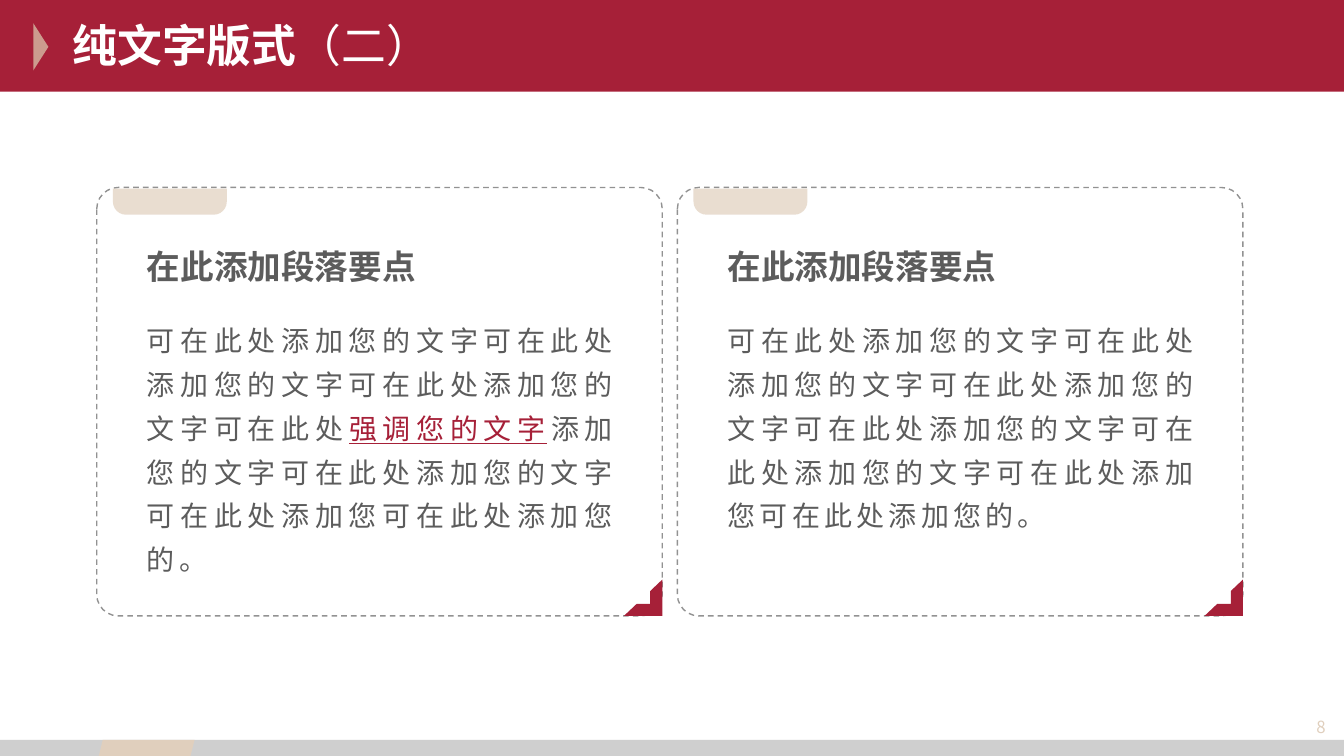
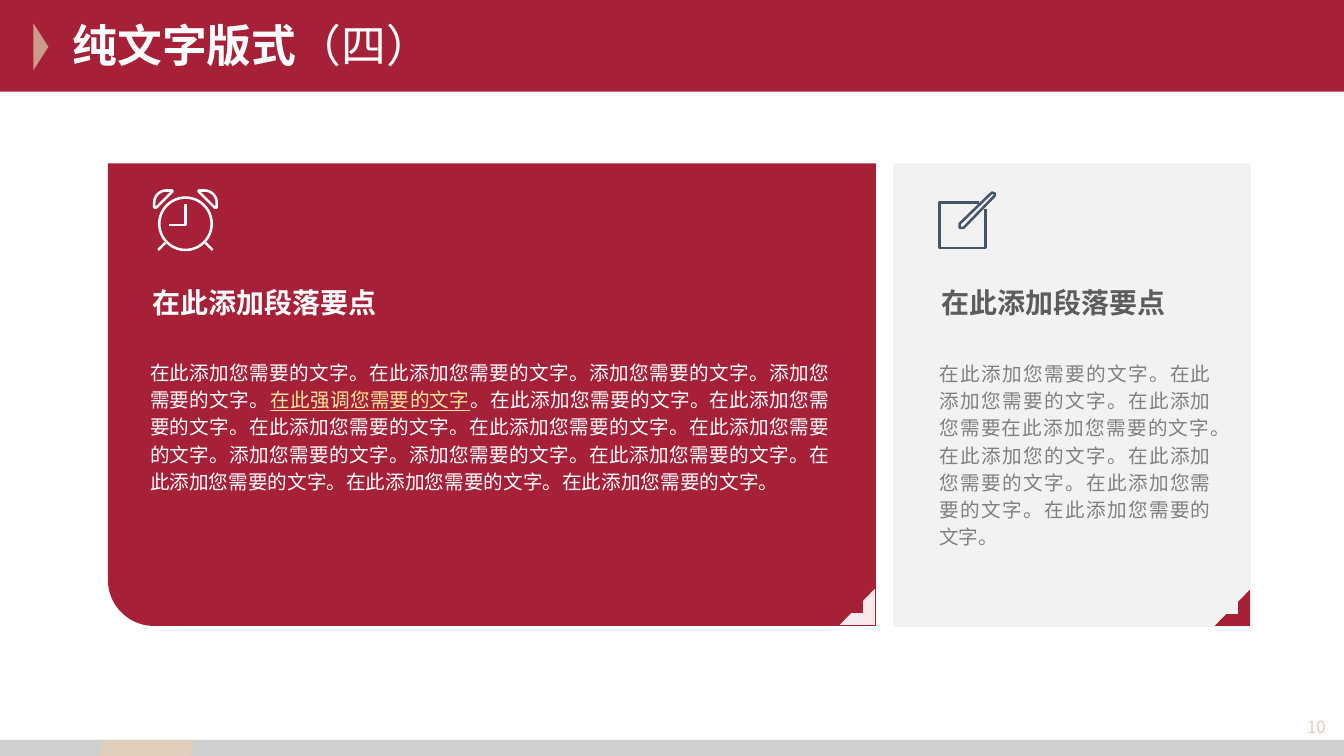
from math import cos, pi, sin

from lxml.etree import SubElement
from pptx import Presentation
from pptx.dml.color import RGBColor
from pptx.enum.dml import MSO_LINE
from pptx.enum.shapes import MSO_CONNECTOR, MSO_SHAPE
from pptx.enum.text import MSO_ANCHOR, PP_ALIGN
from pptx.oxml.ns import qn
from pptx.util import Pt

PX = 9144
FONT = "Noto Sans CJK SC"
COLORS = {
    "red": "A62038", "rose": "CC9B8E", "sand": "E0CFBD", "silver": "BFBFBF",
    "dash": "929292", "ink": "5C5C5C", "gray": "808080", "panel": "F2F2F2",
    "white": "FFFFFF", "yellow": "FFE699", "navy": "44546A",
}
HEADING = "在此添加段落要点"

DASHED_CARDS = [
    [("可在此处添加您的文字可在此处添加您的文字可在此处添加您的文字可在此处", None),
     ("强调您的文字", "red"),
     ("添加您的文字可在此处添加您的文字可在此处添加您可在此处添加您的。", None)],
    [("可在此处添加您的文字可在此处添加您的文字可在此处添加您的文字可在此处添加您的文字"
      "可在此处添加您的文字可在此处添加您可在此处添加您的。", None)],
]
FILLED_CARDS = [
    {"heading": (141, 282, 289, 35), "body": (139, 349, 694, 140),
     "corner": (833, 584, 35, 36), "corner_fill": ("white", 90),
     "heading_color": "white", "body_color": "white",
     "runs": [
         ("在此添加您需要的文字。在此添加您需要的文字。添加您需要的文字。添加您需要的文字。", None),
         ("在此强调您需要的文字", "yellow"),
         ("。在此添加您需要的文字。在此添加您需要的文字。在此添加您需要的文字。"
          "在此添加您需要的文字。在此添加您需要的文字。添加您需要的文字。添加您需要的文字。"
          "在此添加您需要的文字。在此添加您需要的文字。在此添加您需要的文字。"
          "在此添加您需要的文字。", None)]},
    {"heading": (924, 282, 289, 35), "body": (922, 350, 289, 200),
     "corner": (1205, 585, 35, 36), "corner_fill": ("red", 100),
     "heading_color": "ink", "body_color": "gray",
     "runs": [
         ("在此添加您需要的文字。在此添加您需要的文字。在此添加您需要在此添加您需要的文字。"
          "在此添加您的文字。在此添加您需要的文字。在此添加您需要的文字。"
          "在此添加您需要的文字。", None)]},
]


def emu(*lengths):
    return [round(length * PX) for length in lengths]


def rgb(name):
    return RGBColor.from_string(COLORS[name])


def stroke(item, color, width):
    item.line.color.rgb = rgb(color)
    item.line.width = Pt(width)


def add_shape(page, kind, box, fill=None, opacity=100, rotation=0, adjust=()):
    shape = page.shapes.add_shape(kind, *emu(*box))
    shape.shadow.inherit = False
    shape.rotation = rotation
    for index, value in enumerate(adjust):
        shape.adjustments[index] = value
    shape.line.fill.background()
    if fill is None:
        shape.fill.background()
        return shape
    shape.fill.solid()
    shape.fill.fore_color.rgb = rgb(fill)
    if opacity < 100:
        color = shape._element.spPr.find(qn("a:solidFill"))[0]
        SubElement(color, qn("a:alpha"), val=str(opacity * 1000))
    return shape


def add_text(page, box, runs, size, color, bold=False, align=PP_ALIGN.LEFT,
             anchor=MSO_ANCHOR.MIDDLE, leading=None, tracking=None):
    frame = page.shapes.add_textbox(*emu(*box)).text_frame
    frame.word_wrap = True
    frame.vertical_anchor = anchor
    para = frame.paragraphs[0]
    para.alignment = align
    if leading:
        para.line_spacing = Pt(leading)
    para.font.size = Pt(size)
    para.font.bold = bold
    para.font.color.rgb = rgb(color)
    para.font.name = FONT
    SubElement(para.font._element, qn("a:ea"), typeface=FONT)
    for text, accent in runs:
        span = para.add_run()
        span.text = text
        if accent:
            span.font.color.rgb = rgb(accent)
            span.font.underline = True
        if tracking:
            span.font._element.set("spc", str(tracking * 100))
    return para


def add_outline(page, points, color, width, close=False):
    points = [emu(*point) for point in points]
    builder = page.shapes.build_freeform(*points[0])
    builder.add_line_segments(points[1:], close=close)
    shape = builder.convert_to_shape()
    shape.shadow.inherit = False
    shape.fill.background()
    stroke(shape, color, width)


def add_page(deck, numeral, number):
    page = deck.slides.add_slide(deck.slide_layouts[6])
    add_shape(page, MSO_SHAPE.RECTANGLE, (0, 0, 1334, 91), "red")
    add_shape(page, MSO_SHAPE.ISOSCELES_TRIANGLE, (17, 39, 47, 15), "rose", rotation=90)
    add_shape(page, MSO_SHAPE.RECTANGLE, (0, 734, 1334, 16), "silver", 75)
    add_shape(page, MSO_SHAPE.PARALLELOGRAM, (98, 734, 95, 16), "sand")
    title = add_text(page, (62, 12, 1069, 65), [("纯文字版式", None), (numeral, None)],
                     32, "white", bold=True)
    title.runs[1].font.bold = False
    add_text(page, (1212, 702, 113, 38), [(number, None)], 12, "sand", align=PP_ALIGN.RIGHT)
    return page


def add_corner(page, box, fill="red", opacity=100):
    add_shape(page, MSO_SHAPE.HALF_FRAME, box, fill, opacity, rotation=180)


def add_body(page, box, runs, size, color, leading, tracking=None):
    add_text(page, box, runs, size, color, align=PP_ALIGN.JUSTIFY,
             anchor=MSO_ANCHOR.TOP, leading=leading, tracking=tracking)


def add_dashed_card(page, left, runs):
    card = add_shape(page, MSO_SHAPE.ROUNDED_RECTANGLE, (left, 186, 561, 425), adjust=[0.05])
    stroke(card, "dash", 1)
    card.line.dash_style = MSO_LINE.DASH
    add_corner(page, (left + 523, 575, 38, 36))
    add_shape(page, MSO_SHAPE.ROUND_2_SAME_RECTANGLE, (left + 16, 187, 113, 26),
              "sand", 70, rotation=180, adjust=[0.5, 0])
    add_text(page, (left + 40, 246, 289, 35), [(HEADING, None)], 24, "ink", bold=True)
    add_body(page, (left + 40, 306, 486, 271), runs, 20, "ink", 31.3, tracking=3)


def add_clock(page):
    axis, middle, radius = 184, 222, 26
    face = add_shape(page, MSO_SHAPE.OVAL,
                     (axis - radius, middle - radius, 2 * radius, 2 * radius))
    stroke(face, "white", 1.8)
    add_outline(page, [(168, 223), (184, 223), (184, 202)], "white", 1.8)
    steps = [pi + pi / 2 * step / 8 for step in range(9)]
    dome = [(165 + 12 * cos(angle), 201 + 12 * sin(angle)) for angle in steps]
    bell = [(153, 206)] + dome + [(171, 189), (171, 190), (155, 206)]
    for side in (1, -1):
        add_outline(page, [(axis + side * (x - axis), y) for x, y in bell],
                    "white", 1.8, close=True)
        leg = page.shapes.add_connector(
            MSO_CONNECTOR.STRAIGHT,
            *emu(axis - side * 20, 241, axis - side * 27, 248))
        SubElement(leg._element.spPr, qn("a:effectLst"))
        stroke(leg, "white", 1.8)


def add_notepad(page):
    add_outline(page, [(971, 201), (932, 201), (932, 246), (978, 246), (978, 207)], "navy", 2)
    add_outline(page, [(952, 222), (984, 191), (987, 192), (987, 194), (956, 226), (952, 226)],
                "navy", 1.8, close=True)


def main():
    deck = Presentation()
    deck.slide_width, deck.slide_height = emu(1333.33, 750)

    page = add_page(deck, "（二）", "8")
    for index, runs in enumerate(DASHED_CARDS):
        add_dashed_card(page, 96 + 576 * index, runs)

    page = add_page(deck, "（四）", "10")
    add_shape(page, MSO_SHAPE.ROUND_SINGLE_CORNER_RECTANGLE if hasattr(
        MSO_SHAPE, "ROUND_SINGLE_CORNER_RECTANGLE") else MSO_SHAPE.ROUND_1_RECTANGLE,
        (107, 162, 762, 459), "red", rotation=180, adjust=[0.1])
    add_shape(page, MSO_SHAPE.RECTANGLE, (886, 162, 355, 460), "panel")
    for card in FILLED_CARDS:
        add_text(page, card["heading"], [(HEADING, None)], 20, card["heading_color"], bold=True)
        add_body(page, card["body"], card["runs"], 14, card["body_color"], 19.5)
        add_corner(page, card["corner"], *card["corner_fill"])
    add_clock(page)
    add_notepad(page)

    deck.save("out.pptx")


if __name__ == "__main__":
    main()
